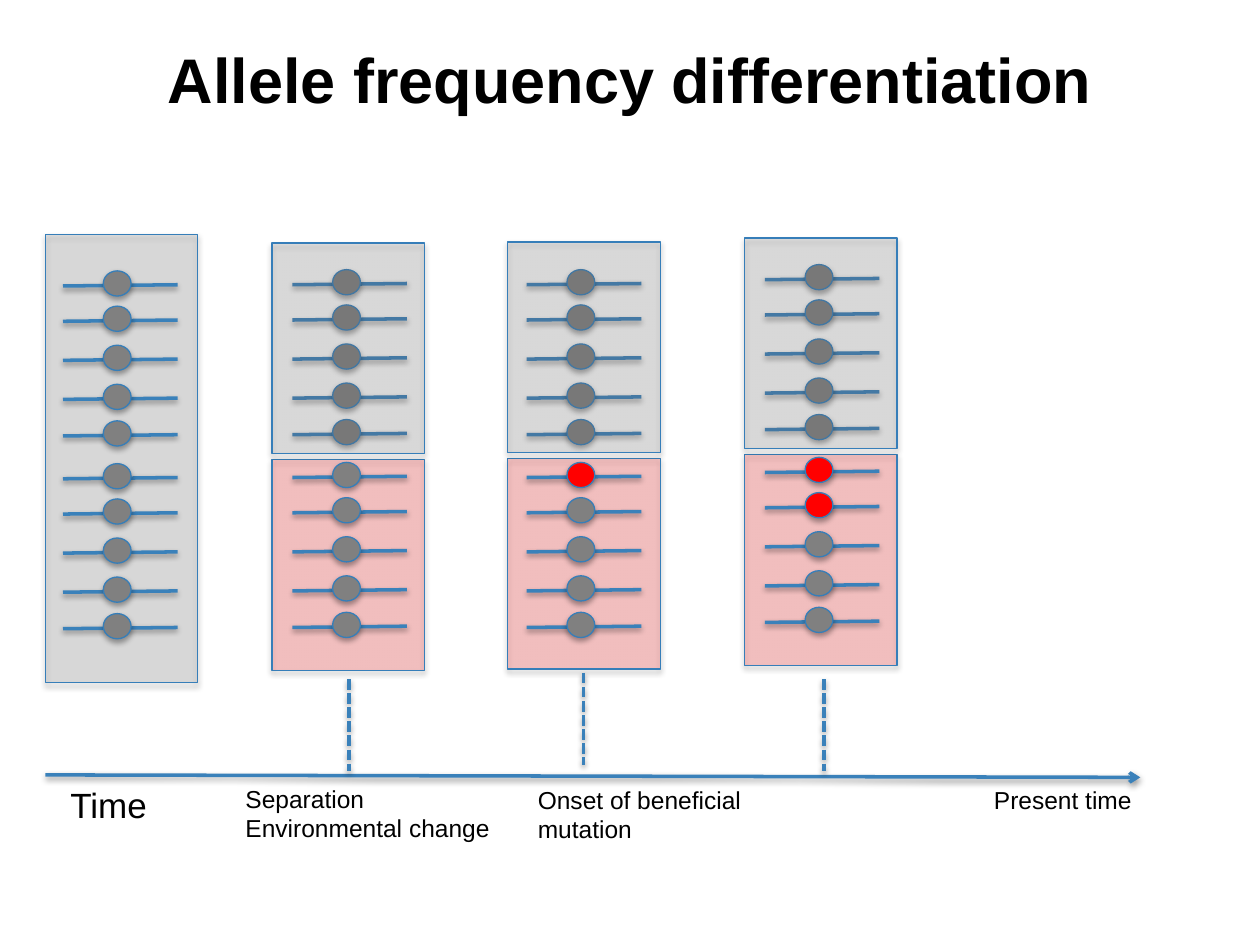
from dataclasses import dataclass

from lxml import etree
from pptx import Presentation
from pptx.dml.color import RGBColor
from pptx.enum.dml import MSO_LINE
from pptx.enum.shapes import MSO_CONNECTOR, MSO_SHAPE
from pptx.enum.text import MSO_ANCHOR, MSO_AUTO_SIZE, PP_ALIGN
from pptx.oxml.ns import qn
from pptx.util import Pt

RECT, OVAL = MSO_SHAPE.RECTANGLE, MSO_SHAPE.OVAL
STRAIGHT = MSO_CONNECTOR.STRAIGHT
SYS_DASH = MSO_LINE.SQUARE_DOT
CENTER, LEFT = PP_ALIGN.CENTER, PP_ALIGN.LEFT
MIDDLE, TOP = MSO_ANCHOR.MIDDLE, MSO_ANCHOR.TOP

EMU_PER_PX = 9144  # 100 px to the inch


@dataclass(frozen=True)
class Theme:
    font: str = "Arial"
    text: str = "000000"
    shadow: str = "000000"
    neutral: str = "808080"
    beneficial: str = "FF0000"
    outline: str = "367EB9"
    line: str = "3A81BA"
    panel_alpha: int = 20
    outline_pt: float = 0.75
    line_pt: float = 2
    title_pt: int = 36
    axis_pt: int = 20
    label_pt: int = 14


@dataclass(frozen=True)
class Population:
    panel_x: int
    panel_y: int
    line_x: int
    first_y: int
    split: bool = True
    mutants: tuple[int, ...] = ()


@dataclass(frozen=True)
class Label:
    x: int
    y: int
    w: int
    h: int
    lines: tuple[str, ...]
    size: int
    bold: bool = False
    wrap: bool = False
    align: PP_ALIGN = LEFT
    anchor: MSO_ANCHOR = TOP


T = Theme()

PANEL_W, FULL_H, HALF_H, HALF_STEP = 121, 356, 167, 172
LINE_W, ALLELE_DX, ALLELE_W, ALLELE_H = 91, 32, 22, 20
ALLELE_DY = (0, 28, 59, 90, 119, 153, 181, 212, 243, 272)

POPULATIONS = (
    Population(36, 186, 50, 215, split=False),
    Population(216, 193, 232, 214),
    Population(403, 192, 418, 214, mutants=(5,)),
    Population(591, 189, 607, 210, mutants=(5, 6)),
)
EVENT_H = 73
EVENTS = ((277, 539), (463, 534), (654, 539))
LABELS = (
    Label(50, 0, 900, 125, ("Allele frequency differentiation",), T.title_pt,
          bold=True, wrap=True, align=CENTER, anchor=MIDDLE),
    Label(46, 617, 83, 44, ("Time",), T.axis_pt),
    Label(185, 617, 216, 57, ("Separation", "Environmental change"), T.label_pt),
    Label(417, 618, 183, 57, ("Onset of beneficial", "mutation"), T.label_pt),
    Label(779, 618, 130, 34, ("Present time",), T.label_pt),
)


def px(*values: int) -> list[int]:
    return [v * EMU_PER_PX for v in values]


def add_alpha(color, percent: int) -> None:
    etree.SubElement(color, qn("a:alpha"), val=str(percent * 1000))


def add_shadow(sp, dist: int, alpha: int) -> None:
    """Append a soft downward shadow; call once fill and line are set."""
    effects = etree.SubElement(sp._element.spPr, qn("a:effectLst"))
    outer = etree.SubElement(effects, qn("a:outerShdw"), blurRad="40000",
                             dist=str(dist), dir="5400000", rotWithShape="0")
    add_alpha(etree.SubElement(outer, qn("a:srgbClr"), val=T.shadow), alpha)


def add_box(s, kind, x: int, y: int, w: int, h: int, fill: str,
            alpha: int = 100) -> None:
    sp = s.shapes.add_shape(kind, *px(x, y, w, h))
    sp.fill.solid()
    sp.fill.fore_color.rgb = RGBColor.from_string(fill)
    if alpha < 100:
        add_alpha(sp._element.spPr.find(".//" + qn("a:srgbClr")), alpha)
    sp.line.color.rgb = RGBColor.from_string(T.outline)
    sp.line.width = Pt(T.outline_pt)
    add_shadow(sp, 23000, 35)


def add_line(s, x1: int, y1: int, x2: int, y2: int, dashed: bool = False,
             arrow: bool = False) -> None:
    c = s.shapes.add_connector(STRAIGHT, *px(x1, y1, x2, y2))
    c.line.color.rgb = RGBColor.from_string(T.line)
    c.line.width = Pt(T.line_pt)
    if dashed:
        c.line.dash_style = SYS_DASH
    if arrow:
        ln = c._element.spPr.find(qn("a:ln"))
        etree.SubElement(ln, qn("a:tailEnd"), type="arrow")
    add_shadow(c, 20000, 38)


def add_population(s, pop: Population) -> None:
    def panel(y: int, h: int, fill: str) -> None:
        add_box(s, RECT, pop.panel_x, y, PANEL_W, h, fill, T.panel_alpha)

    if pop.split:
        panel(pop.panel_y + HALF_STEP, HALF_H, T.beneficial)
    else:
        panel(pop.panel_y, FULL_H, T.neutral)
    for i, dy in enumerate(ALLELE_DY):
        y = pop.first_y + dy
        add_line(s, pop.line_x, y + 12, pop.line_x + LINE_W, y + 11)
        fill = T.beneficial if i in pop.mutants else T.neutral
        add_box(s, OVAL, pop.line_x + ALLELE_DX, y, ALLELE_W, ALLELE_H, fill)
    if pop.split:  # the upper half lies over its sequences
        panel(pop.panel_y, HALF_H, T.neutral)


def add_label(s, label: Label) -> None:
    tf = s.shapes.add_textbox(*px(label.x, label.y, label.w, label.h)).text_frame
    tf.word_wrap = label.wrap
    tf.auto_size = MSO_AUTO_SIZE.NONE if label.wrap else MSO_AUTO_SIZE.SHAPE_TO_FIT_TEXT
    tf.vertical_anchor = label.anchor
    for i, line in enumerate(label.lines):
        p = tf.add_paragraph() if i else tf.paragraphs[0]
        p.text = line
        p.alignment = label.align
        p.font.name = T.font
        p.font.size = Pt(label.size)
        p.font.bold = label.bold
        p.font.color.rgb = RGBColor.from_string(T.text)


def main() -> None:
    prs = Presentation()
    prs.slide_width, prs.slide_height = px(1000, 750)
    s = prs.slides.add_slide(prs.slide_layouts[6])

    # Populations through time
    for pop in POPULATIONS:
        add_population(s, pop)

    # Time axis and event markers
    add_line(s, 36, 615, 905, 617, arrow=True)
    for x, y in EVENTS:
        add_line(s, x, y, x, y + EVENT_H, dashed=True)

    # Title and axis labels
    for label in LABELS:
        add_label(s, label)

    prs.save("out.pptx")


if __name__ == "__main__":
    main()
